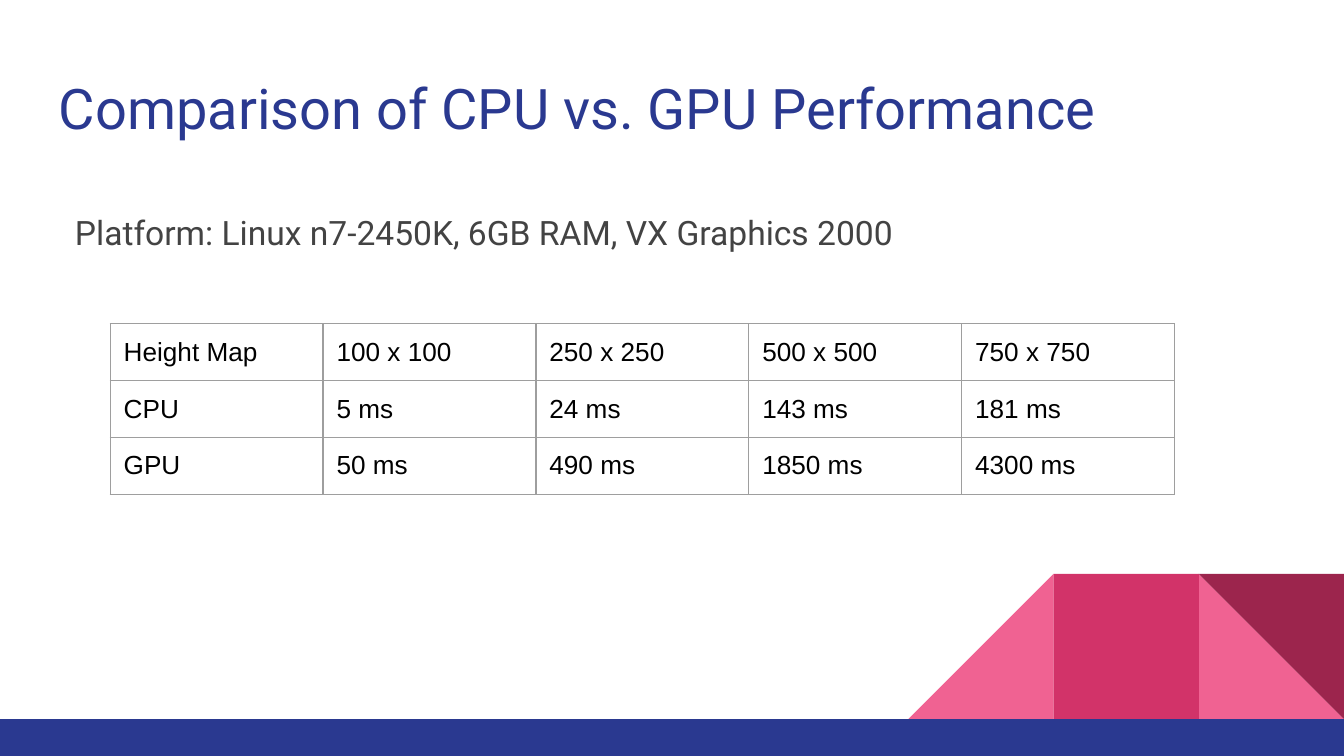
from dataclasses import dataclass

from lxml.etree import SubElement
from pptx import Presentation
from pptx.dml.color import RGBColor
from pptx.enum.shapes import MSO_SHAPE
from pptx.oxml.ns import qn
from pptx.util import Inches, Pt


@dataclass(frozen=True)
class Theme:
    navy: str = "2A3990"
    pink: str = "F06292"
    rose: str = "D23369"
    wine: str = "9C254D"
    gray: str = "434343"
    black: str = "000000"
    border: str = "9E9E9E"
    font: str = "Roboto"
    table_font: str = "Arial"
    title_size: int = 30
    body_size: int = 18
    table_size: int = 14
    border_width: float = 0.75


theme = Theme()


def write_text(tf, text, *, font, size, color, line_spacing=None, space_after=None):
    """Put one formatted paragraph into a text frame."""
    tf.word_wrap = True
    p = tf.paragraphs[0]
    p.line_spacing = line_spacing
    p.space_after = space_after
    r = p.add_run()
    r.text = text
    r.font.name = font
    r.font.size = Pt(size)
    r.font.color.rgb = RGBColor.from_string(color)


def add_borders(cell, color, width):
    """Draw a solid line on all four sides of a table cell."""
    tc_pr = cell._tc.get_or_add_tcPr()
    for i, side in enumerate(("lnL", "lnR", "lnT", "lnB")):
        ln = tc_pr.makeelement(qn(f"a:{side}"), {"w": str(Pt(width))})
        fill = SubElement(ln, qn("a:solidFill"))
        SubElement(fill, qn("a:srgbClr"), val=color)
        tc_pr.insert(i, ln)


# Widescreen slide, 16:9
prs = Presentation()
prs.slide_width = Inches(10)
prs.slide_height = Inches(10 * 9 / 16)
s = prs.slides.add_slide(prs.slide_layouts[6])

# Corner decoration: three square tiles standing on the footer bar
tile = 1.08
tile_top = 4.27
lefts = [10 - tile * n for n in (3, 2, 1)]
decor = [
    (MSO_SHAPE.RIGHT_TRIANGLE, lefts[2], theme.pink, False, 0),
    (MSO_SHAPE.RIGHT_TRIANGLE, lefts[0], theme.pink, True, 0),
    (MSO_SHAPE.RECTANGLE, lefts[1], theme.rose, False, 0),
    (MSO_SHAPE.RIGHT_TRIANGLE, lefts[2], theme.wine, False, 180),
]
shapes = []
for kind, left, color, flipped, rotation in decor:
    sp = s.shapes.add_shape(
        kind, Inches(left), Inches(tile_top), Inches(tile), Inches(tile))
    sp.rotation = rotation
    if flipped:
        sp._element.spPr.get_or_add_xfrm().set("flipH", "1")
    shapes.append((sp, color))

# Footer bar
bar_top = Inches(tile_top + tile)
bar = s.shapes.add_shape(
    MSO_SHAPE.RECTANGLE, 0, bar_top, prs.slide_width, prs.slide_height - bar_top)
shapes.append((bar, theme.navy))

for sp, color in shapes:
    sp.shadow.inherit = False
    sp.fill.solid()
    sp.fill.fore_color.rgb = RGBColor.from_string(color)
    sp.line.fill.background()

# Title and platform line
texts = [
    ((0.34, 0.45, 9.32, 0.66), "Comparison of CPU vs. GPU Performance",
     dict(size=theme.title_size, color=theme.navy)),
    ((0.46, 1.43, 9.2, 3.56), "Platform: Linux n7-2450K, 6GB RAM, VX Graphics 2000",
     dict(size=theme.body_size, color=theme.gray,
          line_spacing=1.15, space_after=Pt(10))),
]
for box, text, style in texts:
    tf = s.shapes.add_textbox(*map(Inches, box)).text_frame
    tf.margin_left = tf.margin_right = Inches(0.1)
    tf.margin_top = tf.margin_bottom = Inches(0.1)
    write_text(tf, text, font=theme.font, **style)

# Timing table
rows = [
    ("Height Map", "100 x 100", "250 x 250", "500 x 500", "750 x 750"),
    ("CPU", "5 ms", "24 ms", "143 ms", "181 ms"),
    ("GPU", "50 ms", "490 ms", "1850 ms", "4300 ms"),
]
table_width, row_height = 7.92, 0.42
table = s.shapes.add_table(
    len(rows), len(rows[0]), Inches(0.82), Inches(2.41),
    Inches(table_width), Inches(row_height * len(rows))).table
table.first_row = False
table.horz_banding = False
for row, values in zip(table.rows, rows):
    row.height = Inches(row_height)
    for cell, value in zip(row.cells, values):
        cell.fill.background()
        cell.margin_left = cell.margin_right = cell.margin_top = Inches(0.1)
        cell.margin_bottom = Inches(0.09)
        write_text(cell.text_frame, value, font=theme.table_font,
                   size=theme.table_size, color=theme.black)
        add_borders(cell, theme.border, theme.border_width)

prs.save("out.pptx")
